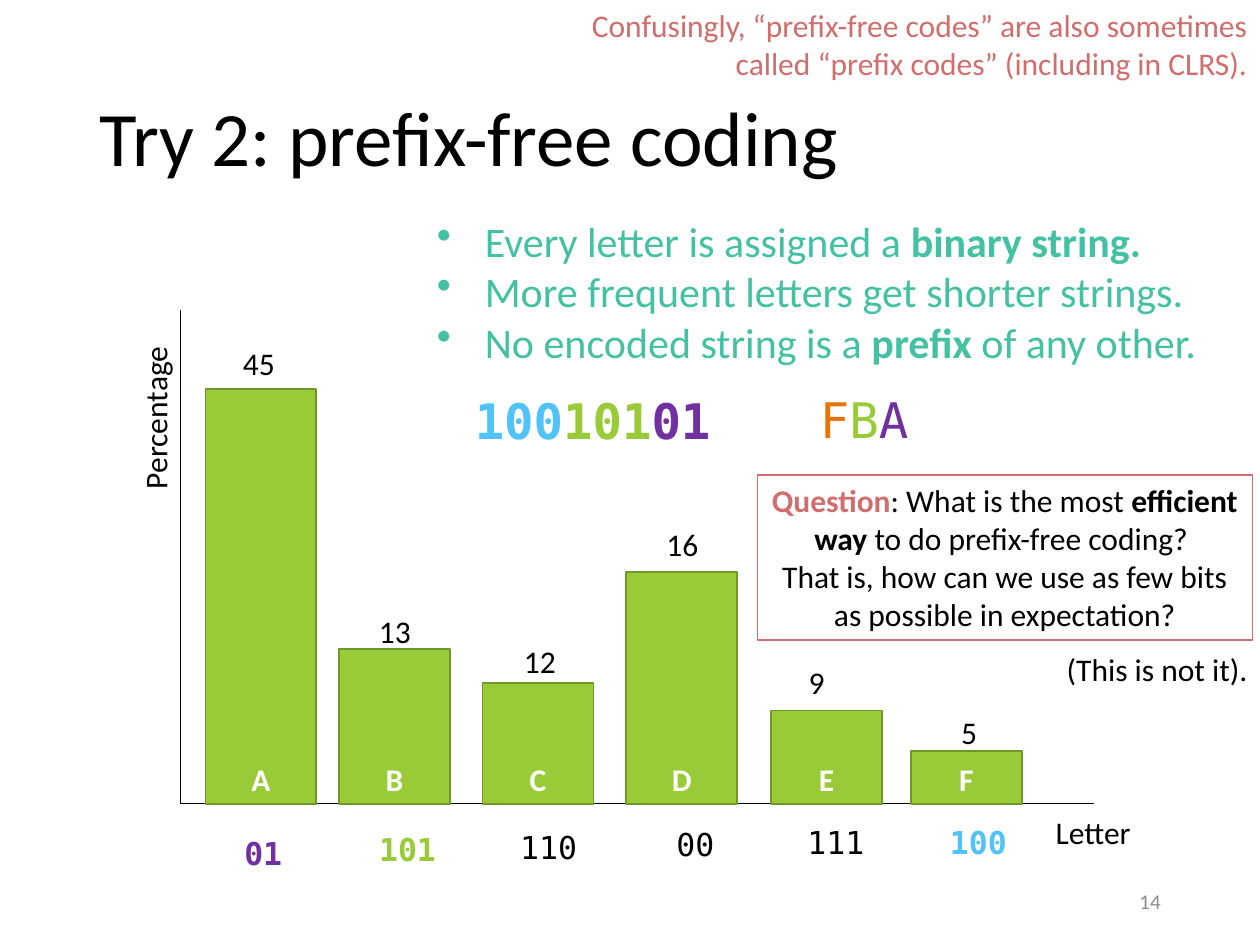
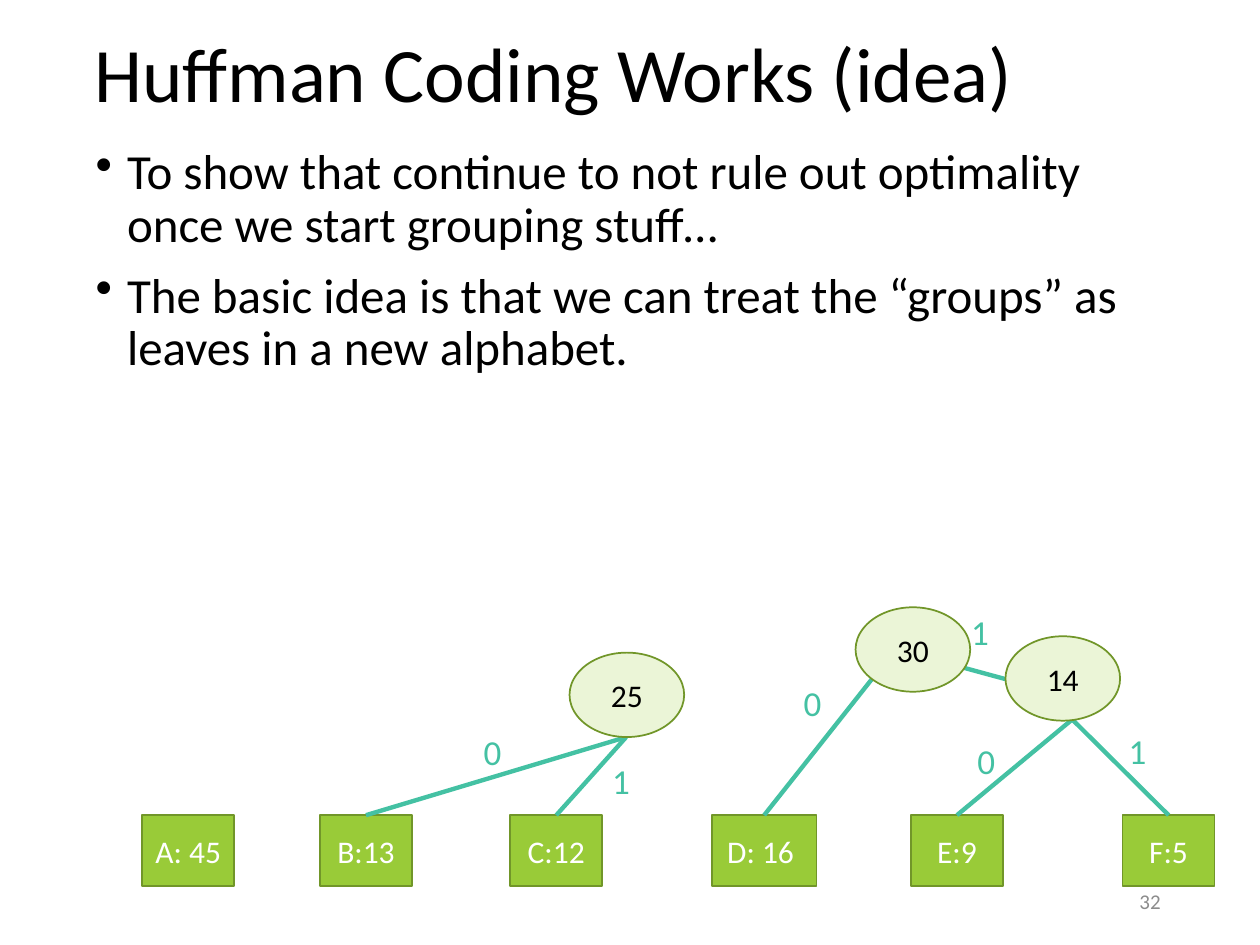
import pptx
import pptx.util
import pptx.dml.color
import pptx.enum.shapes
import pptx.enum.text
import pptx.oxml.ns
import lxml.etree

PX = 9144
SANS = "Calibri"
MONO = "DejaVu Sans Mono"
COLORS = {
    "black": "000000", "white": "FFFFFF", "grey": "8C8C8C",
    "green": "99CB38", "dark_green": "719629", "pale_green": "EBF5D7",
    "teal": "44C1A3", "red": "CF6E6C", "purple": "7030A0",
    "sky": "51C3F9", "orange": "E67500",
}
ALIGN = pptx.enum.text.PP_ALIGN
ANCHOR = pptx.enum.text.MSO_ANCHOR
SHAPE = pptx.enum.shapes.MSO_SHAPE
qn = pptx.oxml.ns.qn


def px(n):
    return pptx.util.Emu(n * PX)


def rgb(name):
    return pptx.dml.color.RGBColor.from_string(COLORS[name])


class Deck:
    def __init__(self, width, height):
        self.prs = pptx.Presentation()
        self.prs.slide_width, self.prs.slide_height = px(width), px(height)
        self.s = None

    def slide(self, title, x, y, number):
        self.s = self.prs.slides.add_slide(self.prs.slide_layouts[6])
        self.text(x, y, 862, 145, title, size=44, anchor=ANCHOR.MIDDLE, spacing=0.9)
        self.text(706, 695, 225, 40, number, size=12, color="grey",
                  align=ALIGN.RIGHT, anchor=ANCHOR.MIDDLE)

    def fill_text(self, sp, content, size=18, color="black", bold=False, font=SANS,
                  align=ALIGN.LEFT, anchor=ANCHOR.TOP, spacing=None, before=0, indent=0):
        tf = sp.text_frame
        tf.word_wrap = True
        tf.vertical_anchor = anchor
        paragraphs = [content] if isinstance(content, str) else content
        for i, pieces in enumerate(paragraphs):
            p = tf.add_paragraph() if i else tf.paragraphs[0]
            if isinstance(pieces, str):
                pieces = [(pieces, color, bold)]
            p.text = pieces[0][0]
            for piece in pieces[1:]:
                p.add_run().text = piece[0]
            p.alignment = align
            if spacing:
                p.line_spacing = spacing
            if i and before:
                p.space_before = pptx.util.Pt(before)
            if indent:
                self.bullet(p, indent)
            for r, (_, run_color, run_bold) in zip(p.runs, pieces):
                r.font.name = font
                r.font.size = pptx.util.Pt(size)
                r.font.bold = run_bold
                r.font.color.rgb = rgb(run_color)

    def bullet(self, p, indent):
        pPr = p._p.get_or_add_pPr()
        pPr.set("marL", str(px(indent)))
        pPr.set("indent", str(px(-indent)))
        lxml.etree.SubElement(pPr, qn("a:buChar")).set("char", "•")

    def text(self, x, y, w, h, content, rotation=0, **style):
        sp = self.s.shapes.add_textbox(px(x), px(y), px(w), px(h))
        sp.rotation = rotation
        self.fill_text(sp, content, **style)
        return sp

    def shape(self, kind, x, y, w, h, content, fill="green", line="dark_green",
              line_width=1, **style):
        sp = self.s.shapes.add_shape(kind, px(x), px(y), px(w), px(h))
        sp.shadow.inherit = False
        if fill:
            sp.fill.solid()
            sp.fill.fore_color.rgb = rgb(fill)
        else:
            sp.fill.background()
        sp.line.color.rgb = rgb(line)
        sp.line.width = pptx.util.Pt(line_width)
        self.fill_text(sp, content, align=ALIGN.CENTER, **style)
        return sp

    def line(self, start, end, color="black", width=0.5, target=None):
        c = self.s.shapes.add_connector(
            pptx.enum.shapes.MSO_CONNECTOR.STRAIGHT, *map(px, start + end))
        c.line.color.rgb = rgb(color)
        c.line.width = pptx.util.Pt(width)
        lxml.etree.SubElement(c._element.spPr, qn("a:effectLst"))
        if target is not None:
            c.end_connect(target, 0)


def prefix_free_slide(d):
    d.slide("Try 2: prefix-free coding", 69, 40, "14")
    base = 638
    d.line((143, 246), (143, base))
    d.line((868, base), (143, base))
    bars = [
        ("A", 163, 309, "45", (183, 268), "01", (184, 657), "purple"),
        ("B", 269, 515, "13", (291, 481), "101", (291, 654), "green"),
        ("C", 383, 542, "12", (406, 505), "110", (403, 652), "black"),
        ("D", 497, 454, "16", (519, 412), "00", (527, 650), "black"),
        ("E", 612, 564, "9", (632, 521), "111", (631, 648), "black"),
        ("F", 723, 596, "5", (753, 561), "100", (744, 648), "sky"),
    ]
    for letter, x, top, value, value_at, code, code_at, color in bars:
        d.shape(SHAPE.RECTANGLE, x, top, 88, base - top, letter,
                color="white", bold=True, anchor=ANCHOR.BOTTOM)
        d.text(*value_at, 76, 40, value)
        d.text(*code_at, 92, 40, code, font=MONO, color=color, bold=color != "black")
    d.text(34, 289, 178, 40, "Percentage", rotation=270)
    d.text(828, 640, 109, 40, "Letter")
    d.text(337, 166, 650, 131, [
        [("Every letter is assigned a ", "teal", False), ("binary string.", "teal", True)],
        "More frequent letters get shorter strings.",
        [("No encoded string is a ", "teal", False), ("prefix ", "teal", True),
         ("of any other.", "teal", False)],
    ], size=24, color="teal", indent=38)
    d.text(367, 305, 547, 57, [[("100", "sky", True), ("101", "green", True),
                                ("01", "purple", True)]], size=28, font=MONO)
    d.text(641, 304, 244, 57, [[("F", "orange", False), ("B", "green", False),
                                ("A", "purple", False)]], size=28, font=MONO)
    d.shape(SHAPE.RECTANGLE, 601, 377, 393, 131, [
        [("Question", "red", True), (": What is the most ", "black", False),
         ("efficient way ", "black", True), ("to do prefix-free coding? ", "black", False)],
        "That is, how can we use as few bits as possible in expectation?",
    ], fill=None, line="red", line_width=0.75)
    d.text(416, 0, 584, 71, "Confusingly, “prefix-free codes” are also sometimes "
           "called “prefix codes” (including in CLRS).", color="red", align=ALIGN.RIGHT)
    d.text(743, 511, 257, 40, "(This is not it).", align=ALIGN.RIGHT)


def huffman_slide(d):
    d.slide("Huffman Coding Works (idea)", 65, -11, "32")
    d.text(66, 112, 862, 476, [
        "To show that continue to not rule out optimality once we start grouping stuff…",
        "The basic idea is that we can treat the “groups” as leaves in a new alphabet.",
    ], size=28, spacing=0.9, before=10, indent=25)
    leaves = {}
    for label, x, w in [("A: 45", 113, 73), ("B:13", 254, 73), ("C:12", 405, 73),
                        ("D: 16 ", 565, 83), ("E:9", 723, 73), ("F:5", 891, 73)]:
        leaves[label[0]] = d.shape(SHAPE.RECTANGLE, x, 647, w, 56, label,
                                   color="white", anchor=ANCHOR.MIDDLE)
    edges = [
        ((497, 585), "B", "0", (374, 575)), ((497, 585), "C", "1", (476, 598)),
        ((692, 539), "D", "0", (628, 536)), ((851, 571), "E", "0", (766, 582)),
        ((851, 571), "F", "1", (886, 574)), ((765, 530), None, "1", (761, 480)),
    ]
    for start, leaf, bit, bit_at in edges:
        d.line(start, (798, 539), "teal", 2.5, leaves.get(leaf))
        d.text(*bit_at, 66, 44, bit, size=20, color="teal")
    for total, x, y in [("25", 452, 518), ("14", 798, 505), ("30", 679, 482)]:
        d.shape(SHAPE.OVAL, x, y, 91, 67, total, fill="pale_green", anchor=ANCHOR.MIDDLE)


def main():
    d = Deck(1000, 750)
    prefix_free_slide(d)
    huffman_slide(d)
    d.prs.save("out.pptx")


if __name__ == "__main__":
    main()
